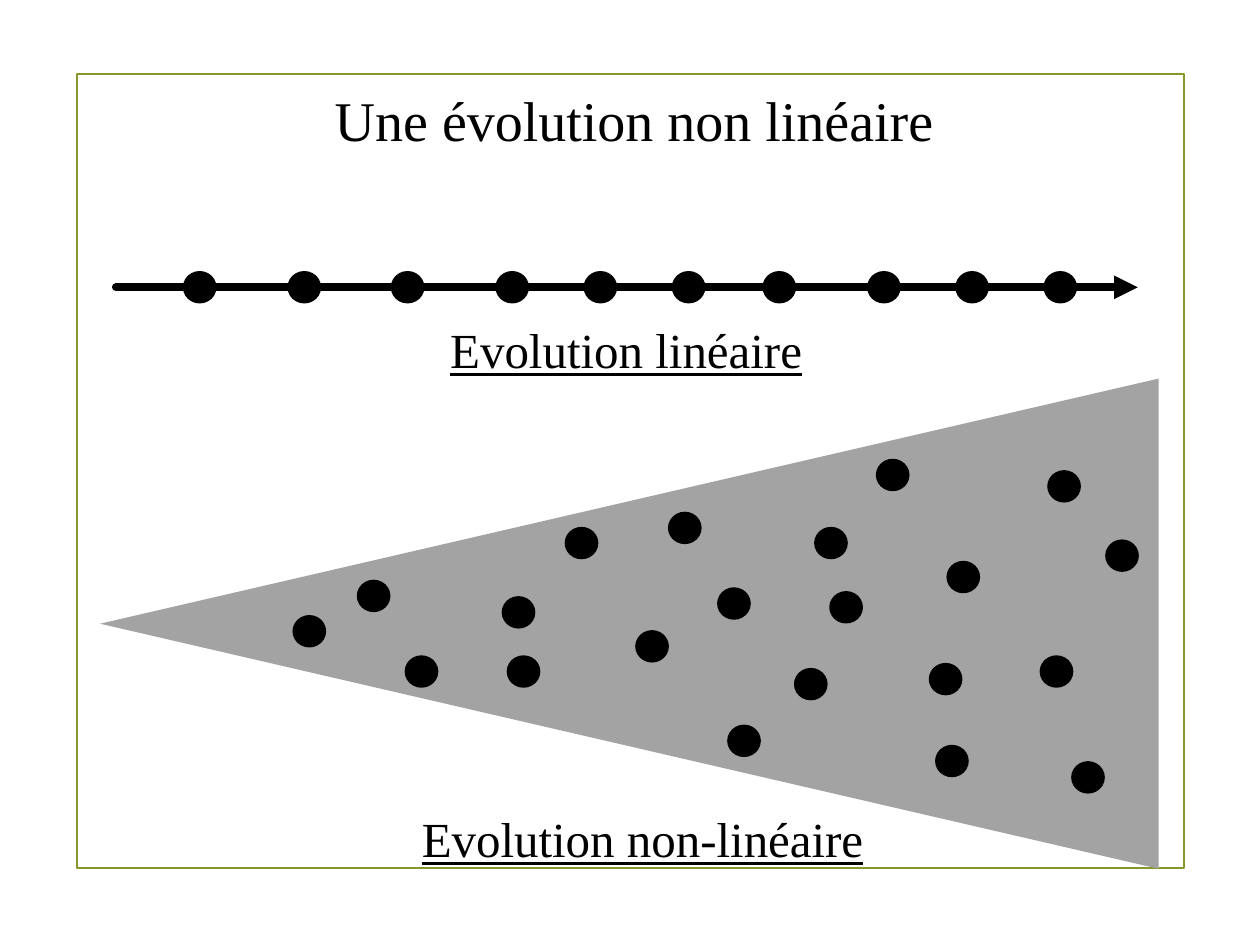
from typing import NamedTuple

from lxml import etree
from pptx import Presentation
from pptx.dml.color import RGBColor
from pptx.enum.shapes import MSO_CONNECTOR, MSO_SHAPE
from pptx.enum.text import MSO_AUTO_SIZE, PP_ALIGN
from pptx.oxml.ns import qn
from pptx.util import Emu, Inches, Pt

RECT = MSO_SHAPE.RECTANGLE
OVAL = MSO_SHAPE.OVAL
WEDGE = MSO_SHAPE.ISOSCELES_TRIANGLE
LINE = MSO_CONNECTOR.STRAIGHT
CENTER = PP_ALIGN.CENTER
GROW = MSO_AUTO_SIZE.SHAPE_TO_FIT_TEXT

FONT = "Times New Roman"
BLACK, GREY, GREEN = "000000", "A3A3A3", "83992A"
THIN, THICK = 1.25, 4.5

# Grid of 100 columns by 75 rows
WIDE, HIGH = Inches(10), Inches(7.5)
COLS, ROWS = 100, 75


class Box(NamedTuple):
    col: float
    row: float
    cols: float
    rows: float


class Label(NamedTuple):
    text: str
    box: Box
    size: int
    under: bool


FRAME = Box(6.1, 5.9, 87.9, 63)
CONE = Box(30.5, 7.5, 38.9, 84)  # before its quarter turn
DOT_COLS, DOT_ROWS = 2.5, 2.4

AXIS_ROW, AXIS_FROM, AXIS_TO = 22.8, 9.2, 90.3
STEPS = (14.6, 22.9, 31.1, 39.4, 46.4, 53.4, 60.6, 68.9, 75.9, 82.9)

# Left and top of each dot in the cone, from left to right
CLOUD = (
    (23.3, 48.9), (28.4, 46.1), (32.2, 52.1), (39.9, 47.4), (40.3, 52.1),
    (44.9, 41.9), (50.5, 50.1), (53.1, 40.7), (57, 46.7), (57.8, 57.6),
    (63.1, 53.1), (64.7, 41.9), (65.9, 47), (69.6, 36.5), (73.8, 52.7),
    (74.3, 59.2), (75.2, 44.6), (82.6, 52.1), (83.2, 37.4), (85.1, 60.5),
    (87.8, 42.9),
)

TITLE = Label("Une évolution non linéaire", Box(6.8, 6.3, 87.1, 6.4), 32, False)
UPPER = Label("Evolution linéaire", Box(24.2, 24.9, 51, 5.7), 28, True)
LOWER = Label("Evolution non-linéaire", Box(25.5, 63.7, 51, 5.7), 28, True)


def x(col: float) -> Emu:
    return Emu(round(WIDE * col / COLS))


def y(row: float) -> Emu:
    return Emu(round(HIGH * row / ROWS))


def place(box: Box) -> tuple:
    return x(box.col), y(box.row), x(box.cols), y(box.rows)


def color(code: str) -> RGBColor:
    return RGBColor.from_string(code)


def shape(slide, kind, box: Box, fill: str = "", line: str = "", turn: int = 0) -> None:
    item = slide.shapes.add_shape(kind, *place(box))
    item.shadow.inherit = False
    item.rotation = turn
    if fill:
        item.fill.solid()
        item.fill.fore_color.rgb = color(fill)
    else:
        item.fill.background()
    if line:
        item.line.color.rgb = color(line)
        item.line.width = Pt(THIN)
    else:
        item.line.fill.background()


def dot(slide, col: float, row: float) -> None:
    shape(slide, OVAL, Box(col, row, DOT_COLS, DOT_ROWS), BLACK, BLACK)


def arrow(slide) -> None:
    item = slide.shapes.add_connector(
        LINE, x(AXIS_FROM), y(AXIS_ROW), x(AXIS_TO), y(AXIS_ROW))
    item.line.color.rgb = color(BLACK)
    item.line.width = Pt(THICK)
    props = item._element.spPr
    stroke = props.find(qn("a:ln"))
    stroke.set("cap", "rnd")
    etree.SubElement(stroke, qn("a:round"))
    etree.SubElement(stroke, qn("a:tailEnd"), type="triangle")
    etree.SubElement(props, qn("a:effectLst"))


def write(slide, label: Label) -> None:
    frame = slide.shapes.add_textbox(*place(label.box)).text_frame
    frame.word_wrap = True
    frame.auto_size = GROW
    frame.text = label.text
    para = frame.paragraphs[0]
    para.alignment = CENTER
    font = para.runs[0].font
    font.name = FONT
    font.size = Pt(label.size)
    font.color.rgb = color(BLACK)
    if label.under:
        font.underline = True


def main() -> None:
    deck = Presentation()
    deck.slide_width, deck.slide_height = WIDE, HIGH
    slide = deck.slides.add_slide(deck.slide_layouts[6])

    # Frame and title
    shape(slide, RECT, FRAME, line=GREEN)
    write(slide, TITLE)

    # Linear evolution: dots along an arrow
    arrow(slide)
    for col in STEPS:
        dot(slide, col, AXIS_ROW - DOT_ROWS / 2)
    write(slide, UPPER)

    # Non-linear evolution: dots spread in a cone
    shape(slide, WEDGE, CONE, fill=GREY, turn=270)
    for col, row in CLOUD:
        dot(slide, col, row)
    write(slide, LOWER)

    deck.save("out.pptx")


if __name__ == "__main__":
    main()
